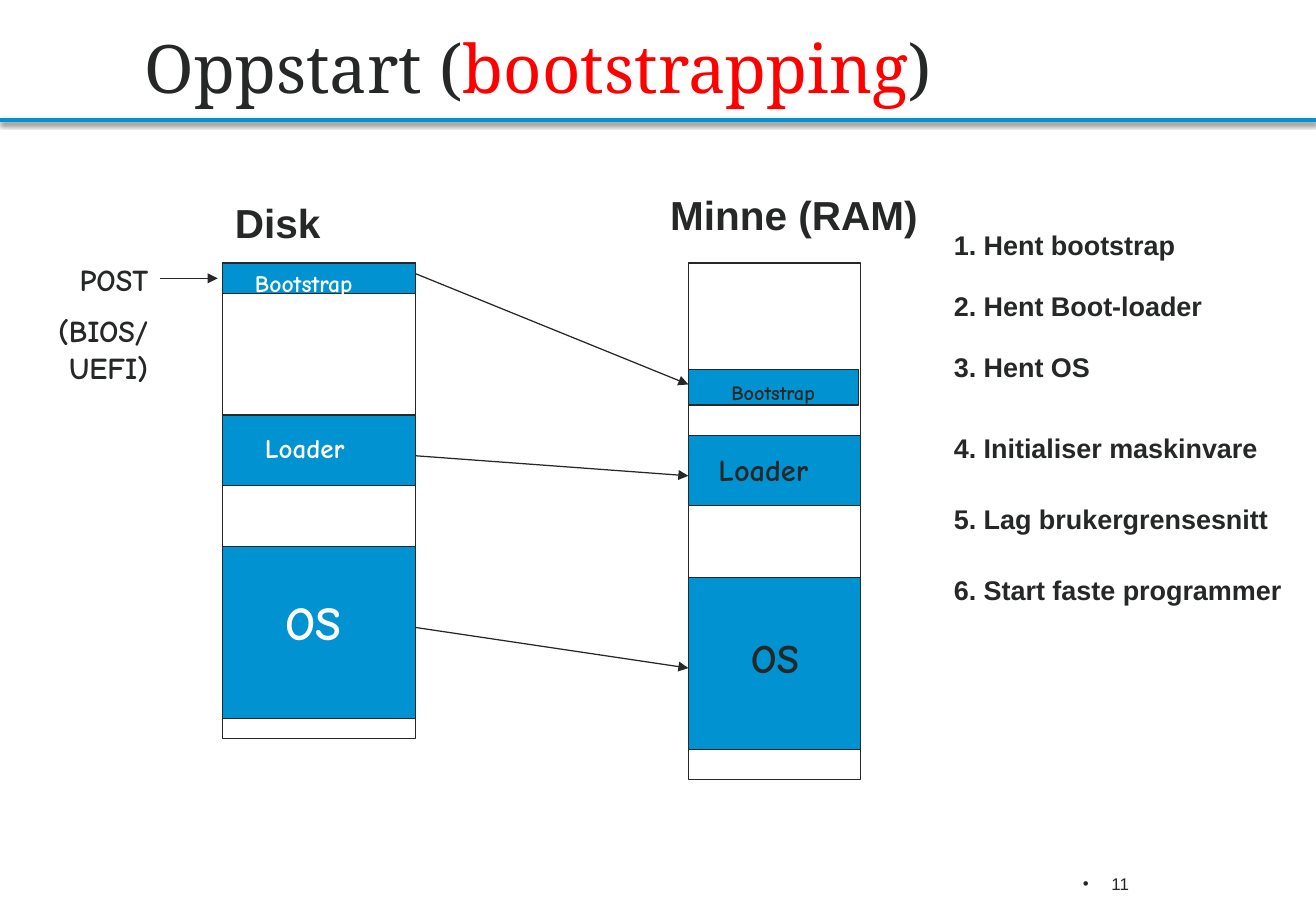
from lxml import etree
from pptx import Presentation
from pptx.dml.color import RGBColor
from pptx.enum.shapes import MSO_CONNECTOR, MSO_SHAPE
from pptx.enum.text import MSO_ANCHOR, PP_ALIGN
from pptx.oxml import parse_xml
from pptx.oxml.ns import nsdecls, qn
from pptx.util import Cm, Pt

STRAIGHT = MSO_CONNECTOR.STRAIGHT
RECTANGLE = MSO_SHAPE.RECTANGLE
LEFT, RIGHT = PP_ALIGN.LEFT, PP_ALIGN.RIGHT
TOP, MIDDLE = MSO_ANCHOR.TOP, MSO_ANCHOR.MIDDLE

COLORS = {"ink": "262827", "blue": "0092D1", "red": "FF0000", "white": "FFFFFF"}
SANS, COMIC, SERIF = "Arial", "Comic Neue", "Noto Serif"
SLIDE_W, SLIDE_H = 27.51, 19.05

# Content, lengths in cm
TITLE = [("Oppstart (", "ink"), ("bootstrapping", "red"), (")", "ink")]
STORES = [
    {"heading": "Disk", "heading_box": (4.66, 4.02, 3.6, 1.27),
     "frame": (4.66, 5.5, 4.02, 9.95), "ink": "white",
     # name, top, height, width, label box (left, top, width, height), size
     "blocks": [("Bootstrap", 5.5, 0.64, 4.02, (5.08, 5.5, 3.18, 0.86), 14),
                ("Loader", 8.68, 1.48, 4.02, (5.29, 8.89, 2.54, 0.94), 16),
                ("OS", 11.43, 3.6, 4.02, (5.72, 12.28, 2.12, 1.45), 28)]},
    {"heading": "Minne (RAM)", "heading_box": (13.76, 3.84, 5.93, 1.27),
     "frame": (14.39, 5.5, 3.6, 10.8), "ink": "ink",
     "blocks": [("Bootstrap", 7.73, 0.74, 3.56, (15.04, 7.83, 3.33, 0.76), 12),
                ("Loader", 9.1, 1.48, 3.6, (14.77, 9.31, 3.2, 1.02), 18),
                ("OS", 12.07, 3.6, 3.6, (15.45, 13.12, 2.12, 1.3), 24)]},
]
COPY_HEIGHTS = [(5.72, 8.04), (9.53, 9.95), (13.12, 13.97)]
FIRMWARE = ["POST", "(BIOS/UEFI)"]
# first top, gap between tops, steps
STEP_GROUPS = [
    (4.66, 1.27, ["1. Hent bootstrap", "2. Hent Boot-loader", "3. Hent OS"]),
    (8.89, 1.49, ["4. Initialiser maskinvare", "5. Lag brukergrensesnitt",
                  "6. Start faste programmer"]),
]
PAGE_NUMBER = "11"


def rgb(name):
    return RGBColor.from_string(COLORS[name])


def add_text(box, paragraphs, size, font, bold=True, align=LEFT, anchor=TOP):
    """Each paragraph is a list of (text, colour name) runs."""
    frame = slide.shapes.add_textbox(*map(Cm, box)).text_frame
    frame.word_wrap = True
    frame.vertical_anchor = anchor
    for index, runs in enumerate(paragraphs):
        paragraph = frame.add_paragraph() if index else frame.paragraphs[0]
        paragraph.alignment = align
        if index:
            paragraph.space_before = Pt(size / 2)
        for text, color in runs:
            run = paragraph.add_run()
            run.text = text
            run.font.size, run.font.name, run.font.bold = Pt(size), font, bold
            run.font.color.rgb = rgb(color)
    return frame


def add_rect(box, fill=None):
    rect = slide.shapes.add_shape(RECTANGLE, *map(Cm, box))
    rect.shadow.inherit = False
    if fill:
        rect.fill.solid()
        rect.fill.fore_color.rgb = rgb(fill)
    else:
        rect.fill.background()
    rect.line.color.rgb = rgb("ink")
    rect.line.width = Pt(0.75)


def add_line(start, end, color="ink", width=0.75, arrow=True):
    line = slide.shapes.add_connector(STRAIGHT, *map(Cm, start + end))
    line.line.color.rgb = rgb(color)
    line.line.width = Pt(width)
    if arrow:
        etree.SubElement(line.line._get_or_add_ln(), qn("a:tailEnd"), type="triangle")
    effects = etree.SubElement(line._element.spPr, qn("a:effectLst"))
    return effects


deck = Presentation()
deck.slide_width, deck.slide_height = Cm(SLIDE_W), Cm(SLIDE_H)
slide = deck.slides.add_slide(deck.slide_layouts[6])

# Title and shadowed rule
rule_effects = add_line((0, 2.51), (SLIDE_W, 2.51), "blue", 2, arrow=False)
rule_effects.append(parse_xml(
    f'<a:outerShdw {nsdecls("a")} blurRad="40000" dist="20000" dir="5400000" '
    'rotWithShape="0"><a:srgbClr val="000000"><a:alpha val="60000"/></a:srgbClr>'
    '</a:outerShdw>'))
add_text((2.77, 0.53, 23.19, 1.75), [TITLE], 39.6, SERIF, bold=False, anchor=MIDDLE)

# Disk and memory with their blocks
for store in STORES:
    add_text(store["heading_box"], [[(store["heading"], "ink")]], 24, SANS)
    add_rect(store["frame"])
    for name, top, height, width, label_box, size in store["blocks"]:
        add_rect((store["frame"][0], top, width, height), "blue")
        add_text(label_box, [[(name, store["ink"])]], size, COMIC)

# Arrows from disk to memory
disk_left, _, disk_width, _ = STORES[0]["frame"]
memory_left = STORES[1]["frame"][0]
for disk_y, memory_y in COPY_HEIGHTS:
    add_line((disk_left + disk_width, disk_y), (memory_left, memory_y))

# Firmware pointing at the disk
add_text((0.56, 5.33, 2.79, 2.95), [[(text, "ink")] for text in FIRMWARE],
         18, COMIC, align=RIGHT)
add_line((3.35, 5.82), (4.55, 5.82))

# Start-up steps
for first_top, gap, steps in STEP_GROUPS:
    for index, step in enumerate(steps):
        add_text((19.69, first_top + index * gap, 7.42, 0.94), [[(step, "ink")]], 16, SANS)

# Bulleted page number
number = add_text((17.42, 17.98, 6.43, 1.02), [[(PAGE_NUMBER, "ink")]], 10, SANS,
                  bold=False, align=RIGHT, anchor=MIDDLE)
properties = number.paragraphs[0]._p.get_or_add_pPr()
properties.set("marL", str(Cm(0.6)))
properties.set("indent", str(-Cm(0.6)))
etree.SubElement(properties, qn("a:buFont"), typeface=SANS)
etree.SubElement(properties, qn("a:buChar"), char="•")

deck.save("out.pptx")
